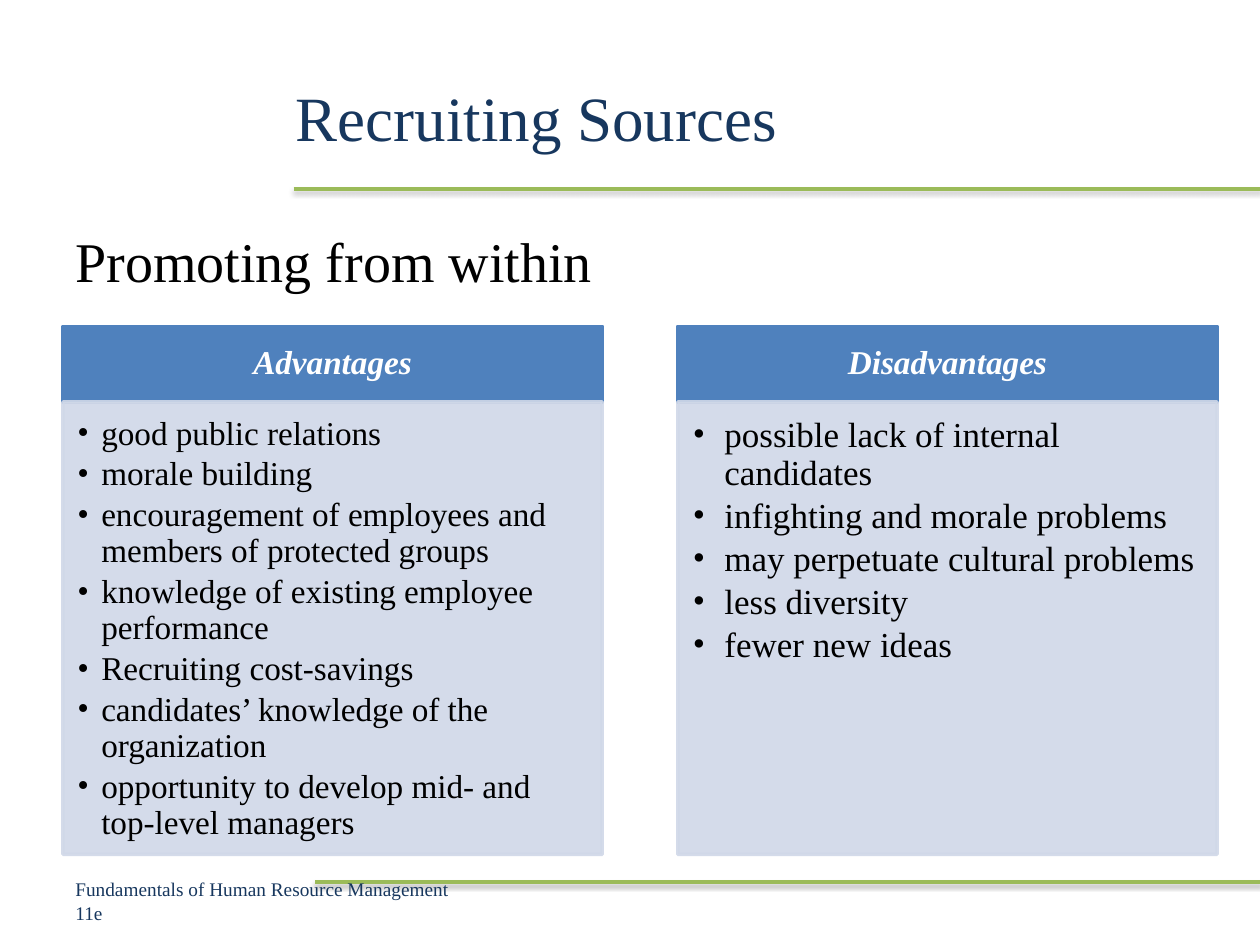
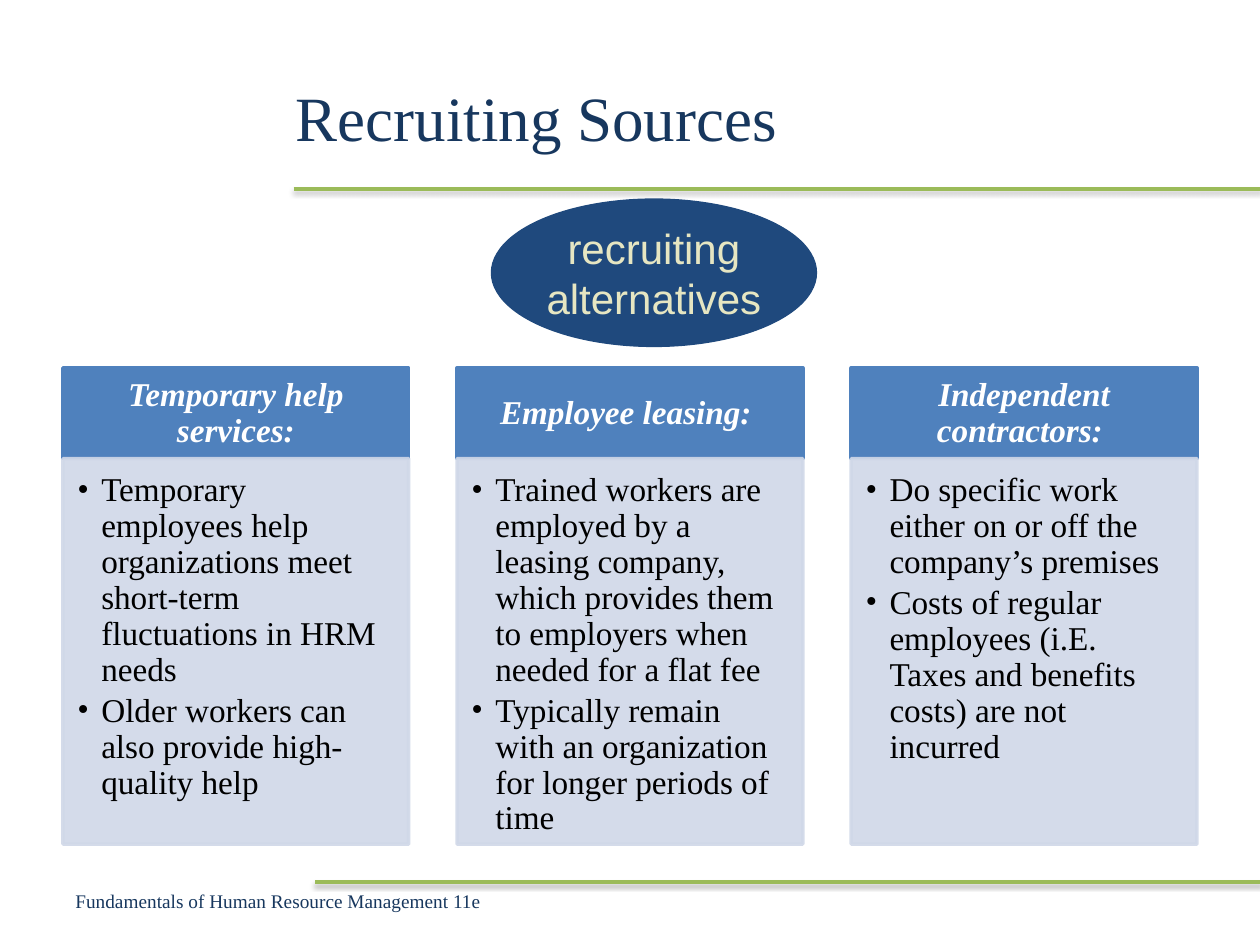
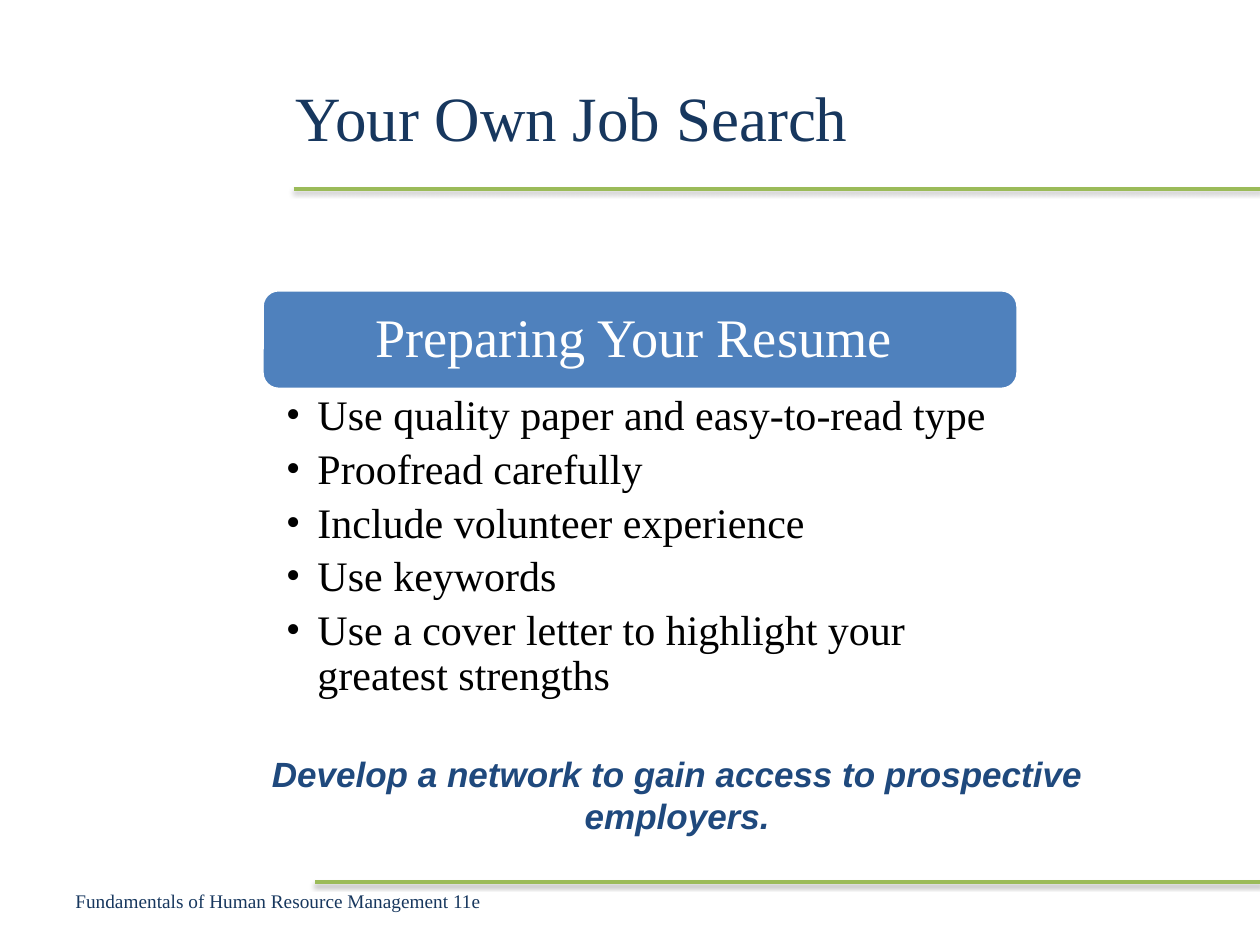
from collections import namedtuple
from dataclasses import dataclass

from pptx import Presentation
from pptx.dml.color import RGBColor
from pptx.enum.shapes import MSO_CONNECTOR as Connector, MSO_SHAPE as Preset
from pptx.enum.text import MSO_ANCHOR as Anchor, PP_ALIGN as Align
from pptx.oxml.ns import qn
from pptx.oxml.xmlchemy import OxmlElement
from pptx.util import Inches, Pt

COLORS = {
    "title": "17375E",
    "rule": "9BBB59",
    "header": "4F81BD",
    "panel": "D0D8E8",
    "accent": "1F497D",
    "cream": "E6E6C2",
    "white": "FFFFFF",
    "black": "000000",
}
SERIF, SANS = "Times New Roman", "Arial"
FOOTER = "Fundamentals of Human Resource Management 11e"
PANEL_OPACITY = 90
COLUMN_GAP = 0.14  # share of a column's width

Box = namedtuple("Box", "left top width height")


@dataclass
class Font:
    size: float
    color: str = "black"
    name: str = SERIF
    bold: bool = False
    italic: bool = False


@dataclass
class Column:
    heading: str
    points: list
    size: float = 19
    indent: float = 0.19


def rgb(name):
    return RGBColor.from_string(COLORS[name])


def add_element(parent, tag, **attributes):
    element = OxmlElement(tag)
    for key, value in attributes.items():
        element.set(key, str(value))
    parent.append(element)
    return element


def lengths(box):
    return [Inches(value) for value in box]


def set_opacity(fill_parent, percent):
    color = fill_parent.find(f"{qn('a:solidFill')}/{qn('a:srgbClr')}")
    add_element(color, "a:alpha", val=percent * 1000)


def set_bullet(paragraph, indent):
    properties = paragraph._p.get_or_add_pPr()
    properties.set("marL", str(Inches(indent)))
    properties.set("indent", str(-Inches(indent)))
    add_element(properties, "a:buFont", typeface=SERIF)
    add_element(properties, "a:buChar", char="•")


def write(shape, lines, font, align=Align.LEFT, anchor=Anchor.TOP, insets=(0.1, 0.05, 0.1, 0.05),
          wrap=True, spacing=None, before=0, after=0, indent=None):
    """Fill a shape with one paragraph a line; before and after are shares of the text size."""
    frame = shape.text_frame
    frame.word_wrap = wrap
    frame.vertical_anchor = anchor
    (frame.margin_left, frame.margin_top,
     frame.margin_right, frame.margin_bottom) = lengths(insets)
    for index, line in enumerate(lines):
        paragraph = frame.add_paragraph() if index else frame.paragraphs[0]
        paragraph.alignment = align
        paragraph.line_spacing = spacing
        paragraph.space_before = Pt(font.size * before)
        paragraph.space_after = Pt(font.size * after)
        if indent:
            set_bullet(paragraph, indent)
        run = paragraph.add_run()
        run.text = line
        run.font.size = Pt(font.size)
        run.font.name = font.name
        run.font.bold = font.bold
        run.font.italic = font.italic
        run.font.color.rgb = rgb(font.color)


def add_text(slide, box, lines, font, **layout):
    write(slide.shapes.add_textbox(*lengths(box)), lines, font, **layout)


def add_block(slide, preset, box, fill, line=None, line_width=2):
    shape = slide.shapes.add_shape(preset, *lengths(box))
    shape.shadow.inherit = False
    shape.fill.solid()
    shape.fill.fore_color.rgb = rgb(fill)
    shape.line.color.rgb = rgb(line or fill)
    shape.line.width = Pt(line_width)
    return shape


def add_rule(slide, left, top):
    """Draw a shadowed line from left to the slide's right edge."""
    rule = slide.shapes.add_connector(
        Connector.STRAIGHT, Inches(left), Inches(top), Inches(10), Inches(top))
    rule.line.color.rgb = rgb("rule")
    rule.line.width = Pt(2)
    effects = add_element(rule._element.spPr, "a:effectLst")
    shadow = add_element(effects, "a:outerShdw", blurRad=Pt(3.1), dist=Pt(1.6),
                         dir=90 * 60000, rotWithShape=0)
    color = add_element(shadow, "a:srgbClr", val=COLORS["black"])
    add_element(color, "a:alpha", val=38000)


def add_base_slide(presentation, title, footer_width=3.5):
    slide = presentation.slides.add_slide(presentation.slide_layouts[6])
    add_rule(slide, 2.33, 1.5)
    add_rule(slide, 2.5, 7)
    add_text(slide, Box(2.25, 0.3, 7.25, 1.25), [title], Font(36, "title"), anchor=Anchor.MIDDLE)
    add_text(slide, Box(0.5, 6.95, footer_width, 0.4), [FOOTER], Font(11, "title"),
             anchor=Anchor.MIDDLE)
    return slide


def add_column(slide, box, header_height, column):
    header = add_block(slide, Preset.RECTANGLE, box._replace(height=header_height), "header")
    write(header, [column.heading], Font(19, "white", bold=True, italic=True), Align.CENTER,
          Anchor.MIDDLE, (0.15, 0.08, 0.15, 0.08), spacing=0.9)

    panel_box = box._replace(top=box.top + header_height, height=box.height - header_height)
    panel = add_block(slide, Preset.RECTANGLE, panel_box, "panel")
    properties = panel._element.spPr
    set_opacity(properties, PANEL_OPACITY)
    set_opacity(properties.find(qn("a:ln")), PANEL_OPACITY)
    inset = column.size * 0.006
    write(panel, column.points, Font(column.size), insets=(inset, inset, 0.15, 0.17),
          spacing=0.9, after=0.15, indent=column.indent)


def add_columns(slide, box, header_height, columns):
    count = len(columns)
    width = box.width / (count + COLUMN_GAP * (count - 1))
    for index, column in enumerate(columns):
        left = box.left + index * width * (1 + COLUMN_GAP)
        add_column(slide, box._replace(left=left, width=width), header_height, column)


def add_headed_list(slide, box, header_height, heading, points):
    header = add_block(slide, Preset.ROUNDED_RECTANGLE, box._replace(height=header_height),
                       "header", "white")
    write(header, [heading], Font(31, "white"), Align.CENTER, Anchor.MIDDLE, (0.13,) * 4,
          spacing=0.9)
    list_box = box._replace(top=box.top + header_height, height=box.height - header_height)
    add_text(slide, list_box, points, Font(24), insets=(0.19, 0.04, 0.24, 0.04),
             spacing=0.9, after=0.2, indent=0.25)


def build_promoting(presentation):
    slide = add_base_slide(presentation, "Recruiting Sources", footer_width=3.17)
    add_text(slide, Box(0.5, 1.75, 9, 0.75), ["Promoting from within"], Font(32), before=0.2)
    add_columns(slide, Box(0.5, 2.59, 9.16, 4.19), 0.6, [
        Column("Advantages", [
            "good public relations",
            "morale building",
            "encouragement of employees and members of protected groups",
            "knowledge of existing employee performance",
            "Recruiting cost-savings",
            "candidates’ knowledge of the organization",
            "opportunity to develop mid- and top-level managers",
        ]),
        Column("Disadvantages", [
            "possible lack of internal candidates",
            "infighting and morale problems",
            "may perpetuate cultural problems",
            "less diversity",
            "fewer new ideas",
        ], size=20, indent=0.25),
    ])


def build_alternatives(presentation):
    slide = add_base_slide(presentation, "Recruiting Sources")
    add_columns(slide, Box(0.5, 2.92, 9, 3.78), 0.72, [
        Column("Temporary help services:", [
            "Temporary employees help organizations meet short-term fluctuations in HRM needs",
            "Older workers can also provide high-quality help",
        ]),
        Column("Employee leasing: ", [
            "Trained workers are employed by a leasing company, which provides them "
            "to employers when needed for a flat fee",
            "Typically remain with an organization for longer periods of time",
        ]),
        Column("Independent contractors: ", [
            "Do specific work either on or off the company’s premises",
            "Costs of regular employees (i.E. Taxes and benefits costs) are not incurred",
        ]),
    ])
    topic = add_block(slide, Preset.OVAL, Box(3.9, 1.58, 2.58, 1.17), "accent", line_width=0.75)
    write(topic, ["recruiting", "alternatives"], Font(24, "cream", SANS), Align.CENTER,
          Anchor.MIDDLE, wrap=False)


def build_job_search(presentation):
    slide = add_base_slide(presentation, "Your Own Job Search")
    add_headed_list(slide, Box(2.08, 2.3, 6, 3.32), 0.79, "Preparing Your Resume ", [
        "Use quality paper and easy-to-read type",
        "Proofread carefully",
        "Include volunteer experience",
        "Use keywords",
        "Use a cover letter to highlight your greatest strengths",
    ])
    add_text(slide, Box(1.5, 5.92, 7.75, 0.77),
             ["Develop a network to gain access to prospective employers."],
             Font(20, "accent", SANS, bold=True, italic=True), align=Align.CENTER, before=0.5)


def main():
    presentation = Presentation()
    presentation.slide_width = Inches(10)
    presentation.slide_height = Inches(7.5)
    build_promoting(presentation)
    build_alternatives(presentation)
    build_job_search(presentation)
    presentation.save("out.pptx")


if __name__ == "__main__":
    main()
